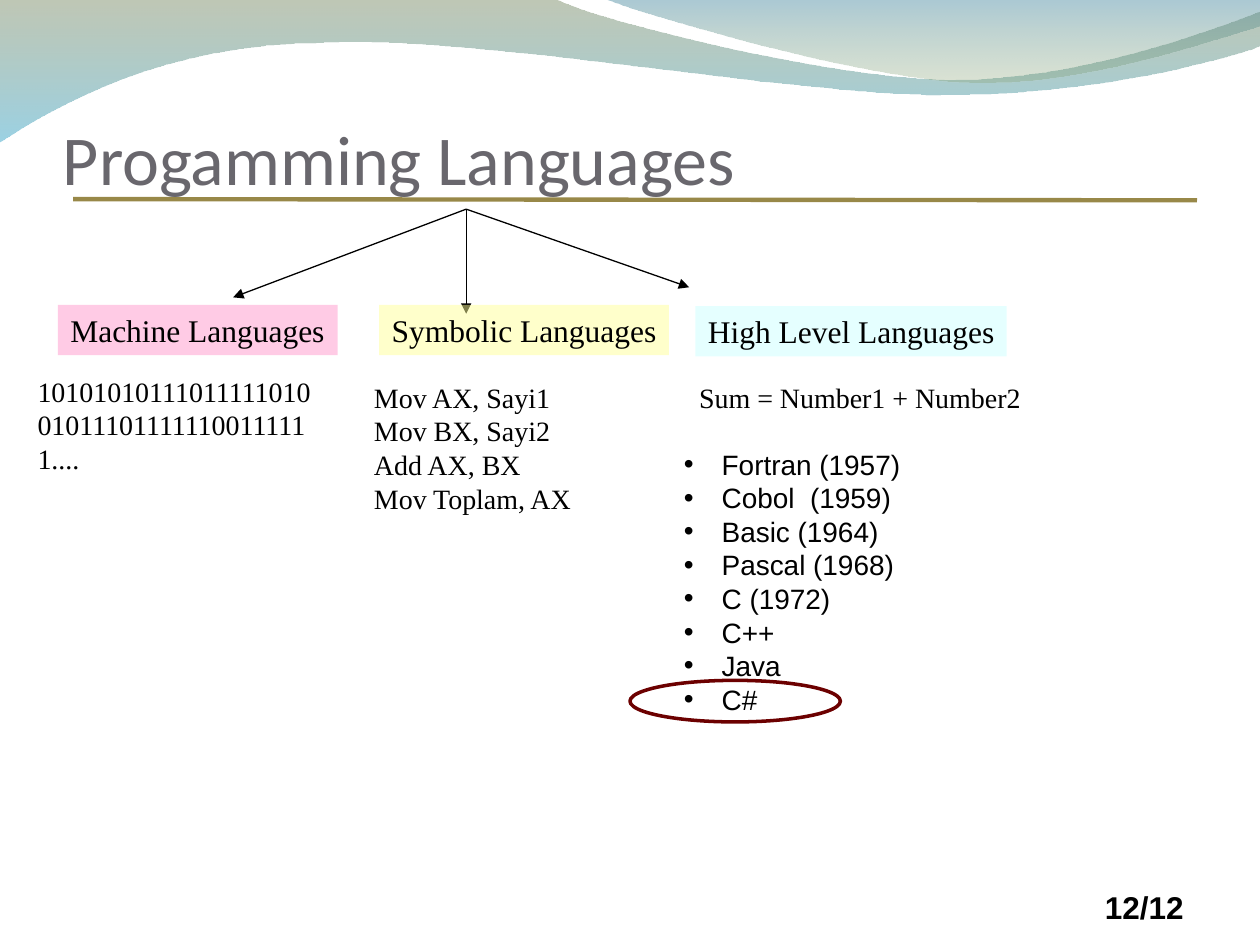
from dataclasses import dataclass

from lxml import etree
from pptx import Presentation
from pptx.dml.color import RGBColor
from pptx.enum.shapes import MSO_CONNECTOR, MSO_SHAPE
from pptx.enum.text import MSO_ANCHOR, PP_ALIGN
from pptx.oxml.ns import qn
from pptx.util import Inches, Pt

STRAIGHT = MSO_CONNECTOR.STRAIGHT
RECTANGLE, OVAL = MSO_SHAPE.RECTANGLE, MSO_SHAPE.OVAL
TOP, BOTTOM = MSO_ANCHOR.TOP, MSO_ANCHOR.BOTTOM
LEFT = PP_ALIGN.LEFT
COLUMNS, ROWS = 100, 75
CELL = Inches(0.1)
SERIF, SANS, TITLE_FONT = "Times New Roman", "Arial", "Calibri"
BLACK = "000000"

Point = tuple[float, float]


@dataclass(frozen=True)
class Area:
    column: float
    row: float
    columns: float
    rows: float

    def lengths(self) -> list[int]:
        return [round(value * CELL) for value in (self.column, self.row, self.columns, self.rows)]


@dataclass(frozen=True)
class Style:
    font: str
    size: float
    color: str = BLACK
    bold: bool = False


@dataclass(frozen=True)
class TextBlock:
    area: Area
    lines: tuple[str, ...]
    style: Style
    anchor: MSO_ANCHOR = TOP
    indent: float = 0
    bulleted: bool = False
    side_inset: float = 1
    bottom_inset: float = 0.5


@dataclass(frozen=True)
class Label:
    area: Area
    text: str
    fill: str


@dataclass(frozen=True)
class GradientStop:
    color: str
    opacity: int


@dataclass(frozen=True)
class Wave:
    start: Point
    segments: tuple[tuple[Point, ...], ...]
    stops: tuple[GradientStop, GradientStop]


BODY = Style(SERIF, 16)
LABEL_STYLE = Style(SERIF, 18)

WAVES = (
    Wave(
        (0, -0.1),
        (
            ((44, -0.1),),
            ((47.6, 1.7), (66.4, 6.3), (75.8, 6.3)),
            ((85.3, 6.3), (95.8, 2.6), (100, 0.9)),
            ((100.1, 3.6),),
            ((98.3, 4.4), (87, 7.6), (74.6, 7.5)),
            ((62.2, 7.5), (38.2, 2.8), (25.7, 3.4)),
            ((12.9, 3.5), (4.6, 8.3), (-0.1, 11.3)),
        ),
        (GradientStop("72845C", 45), GradientStop("49ACCD", 55)),
    ),
    Wave(
        (47.9, -0.1),
        (
            ((50.9, 1.1), (68.2, 6.2), (76.9, 6.5)),
            ((85.6, 6.9), (96.1, 3.2), (100, 2.1)),
            ((100, 0),),
        ),
        (GradientStop("42869E", 45), GradientStop("8AA26C", 30)),
    ),
)

ARROW_START = (37, 16.6)
ARROW_ENDS = ((37, 24.9), (18.5, 23.6), (54.7, 22.8))

LABELS = (
    Label(Area(55.2, 24.3, 24.7, 4), "High Level Languages", "CCFFFF"),
    Label(Area(30.1, 24.2, 23, 4), "Symbolic Languages", "FFFF99"),
    Label(Area(4.6, 24.2, 22.2, 4), "Machine Languages", "FF99CC"),
)

PAGE_NUMBER = TextBlock(Area(86.7, 70, 9.2, 4), ("12/12",), Style(SANS, 18, bold=True))
TITLE = TextBlock(
    Area(5, 3.3, 90, 12.5),
    ("Progamming Languages",),
    Style(TITLE_FONT, 40, "69676D"),
    BOTTOM,
    side_inset=0,
    bottom_inset=0,
)
EXAMPLES = (
    TextBlock(Area(52.9, 29.7, 29.2, 3.7), ("Sum = Number1 + Number2",), BODY, indent=1.6),
    TextBlock(
        Area(28.7, 29.7, 24, 11.7),
        ("Mov AX, Sayi1", "Mov BX, Sayi2", "Add AX, BX", "Mov Toplam, AX"),
        BODY,
    ),
    TextBlock(Area(2, 29.2, 24, 9), ("10101010111011111010010111011111100111111....",), BODY),
    TextBlock(
        Area(53.3, 35, 32.6, 22.4),
        (
            "Fortran (1957)",
            "Cobol  (1959)",
            "Basic (1964)",
            "Pascal (1968)",
            "C (1972)",
            "C++",
            "Java",
            "C#",
        ),
        Style(SANS, 16),
        indent=3,
        bulleted=True,
    ),
)


def rgb(color: str) -> RGBColor:
    return RGBColor.from_string(color)


def set_opacity(color_element, percent: int) -> None:
    etree.SubElement(color_element, qn("a:alpha")).set("val", str(percent * 1000))


def bend_segments(shape, segments: tuple[tuple[Point, ...], ...]) -> None:
    steps = iter(list(shape._element.spPr.iter(qn("a:lnTo"))))
    for segment in segments:
        lines = [next(steps) for _ in segment]
        if len(lines) == 3:
            curve = etree.Element(qn("a:cubicBezTo"))
            lines[0].addprevious(curve)
            for line in lines:
                curve.append(line[0])
                line.getparent().remove(line)


def draw_wave(page, wave: Wave) -> None:
    points = [wave.start, *(point for segment in wave.segments for point in segment)]
    vertices = [(round(x * CELL), round(y * CELL)) for x, y in points]
    builder = page.shapes.build_freeform(*vertices[0])
    builder.add_line_segments(vertices[1:], close=False)
    shape = builder.convert_to_shape()
    bend_segments(shape, wave.segments)
    etree.SubElement(next(shape._element.spPr.iter(qn("a:path"))), qn("a:close"))
    shape.shadow.inherit = False
    shape.line.fill.background()
    shape.fill.gradient()
    shape.fill.gradient_angle = 270
    for position, (target, stop) in enumerate(zip(shape.fill.gradient_stops, wave.stops)):
        target.position = position
        target.color.rgb = rgb(stop.color)
    for element, stop in zip(shape._element.spPr.iter(qn("a:srgbClr")), wave.stops):
        set_opacity(element, stop.opacity)


def draw_line(page, start: Point, end: Point, color: str, width: float, arrow: bool = False) -> None:
    ends = [round(value * CELL) for value in (*start, *end)]
    line = page.shapes.add_connector(STRAIGHT, *ends)
    line.line.color.rgb = rgb(color)
    line.line.width = Pt(width)
    if arrow:
        etree.SubElement(line.line._get_or_add_ln(), qn("a:tailEnd")).set("type", "triangle")
    etree.SubElement(line._element.spPr, qn("a:effectLst"))


def indent_paragraph(para, indent: int, bulleted: bool) -> None:
    properties = para._p.get_or_add_pPr()
    properties.set("marL", str(indent))
    if bulleted:
        properties.set("indent", str(-indent))
        etree.SubElement(properties, qn("a:buFont")).set("typeface", SANS)
        etree.SubElement(properties, qn("a:buChar")).set("char", "•")


def write_text(frame, lines: tuple[str, ...], style: Style) -> None:
    frame.text = "\n".join(lines)
    for para in frame.paragraphs:
        para.alignment = LEFT
        for span in para.runs:
            span.font.name = style.font
            span.font.size = Pt(style.size)
            span.font.bold = style.bold
            span.font.color.rgb = rgb(style.color)


def draw_text(page, block: TextBlock) -> None:
    frame = page.shapes.add_textbox(*block.area.lengths()).text_frame
    frame.word_wrap = True
    frame.vertical_anchor = block.anchor
    frame.margin_left = frame.margin_right = round(block.side_inset * CELL)
    frame.margin_bottom = round(block.bottom_inset * CELL)
    write_text(frame, block.lines, block.style)
    if block.indent:
        for para in frame.paragraphs:
            indent_paragraph(para, round(block.indent * CELL), block.bulleted)


def draw_label(page, label: Label) -> None:
    box = page.shapes.add_shape(RECTANGLE, *label.area.lengths())
    box.shadow.inherit = False
    box.line.fill.background()
    box.fill.solid()
    box.fill.fore_color.rgb = rgb(label.fill)
    set_opacity(box._element.spPr.find(f".//{qn('a:srgbClr')}"), 50)
    box.text_frame.word_wrap = False
    box.text_frame.vertical_anchor = TOP
    write_text(box.text_frame, (label.text,), LABEL_STYLE)


def draw_ring(page, area: Area, color: str, width: float) -> None:
    ring = page.shapes.add_shape(OVAL, *area.lengths())
    ring.shadow.inherit = False
    ring.fill.background()
    ring.line.color.rgb = rgb(color)
    ring.line.width = Pt(width)


def main() -> None:
    deck = Presentation()
    deck.slide_width, deck.slide_height = COLUMNS * CELL, ROWS * CELL
    page = deck.slides.add_slide(deck.slide_layouts[6])
    for wave in WAVES:
        draw_wave(page, wave)
    draw_line(page, (5.8, 15.8), (95, 15.9), "988848", 2.5)
    draw_text(page, PAGE_NUMBER)
    draw_ring(page, Area(50, 54, 16.7, 3.3), "6C0000", 2)
    draw_text(page, TITLE)
    for end in ARROW_ENDS:
        draw_line(page, ARROW_START, end, BLACK, 0.75, arrow=True)
    for label in LABELS:
        draw_label(page, label)
    for block in EXAMPLES:
        draw_text(page, block)
    deck.save("out.pptx")


if __name__ == "__main__":
    main()
